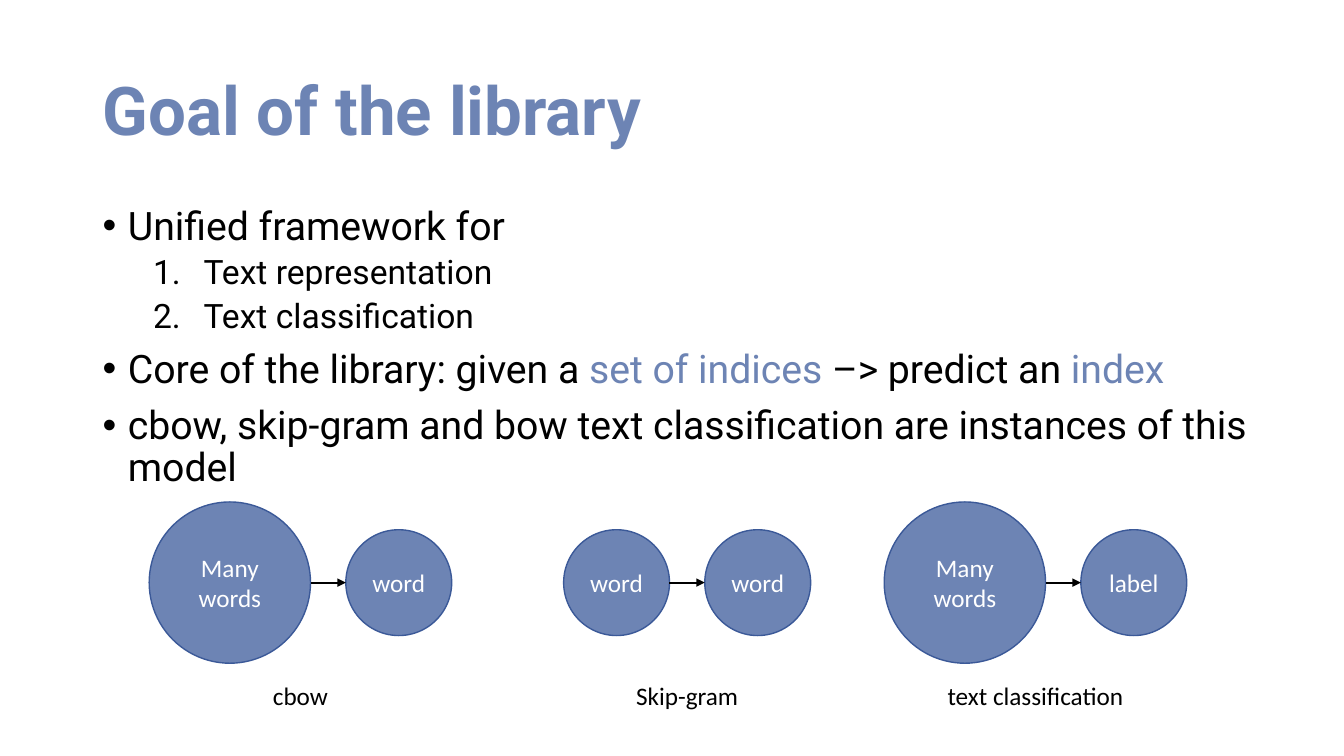
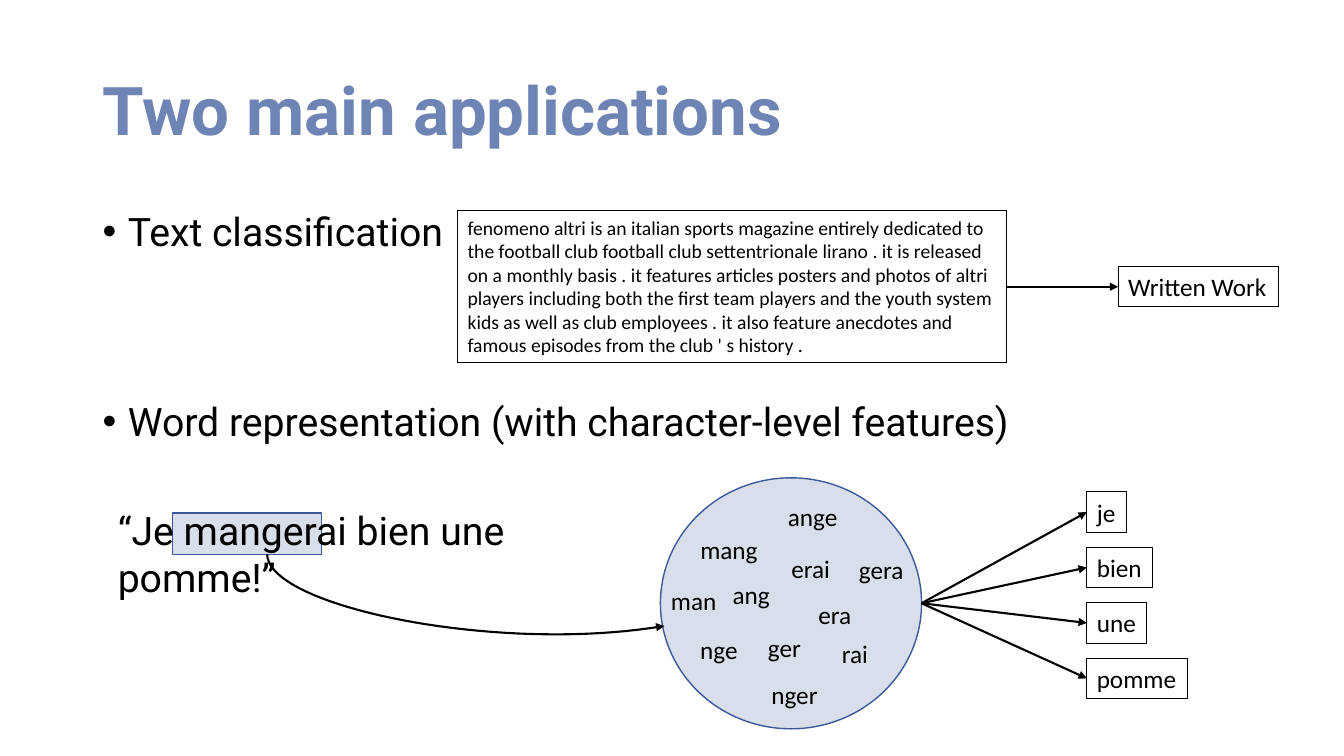
from lxml import etree
from pptx import Presentation
from pptx.dml.color import RGBColor
from pptx.enum.shapes import MSO_CONNECTOR, MSO_SHAPE
from pptx.enum.text import MSO_ANCHOR, PP_ALIGN
from pptx.oxml.ns import qn
from pptx.util import Inches, Pt

STRAIGHT = MSO_CONNECTOR.STRAIGHT
ELLIPSE, RECTANGLE = MSO_SHAPE.OVAL, MSO_SHAPE.RECTANGLE
TOP, MIDDLE = MSO_ANCHOR.TOP, MSO_ANCHOR.MIDDLE
LEFT, CENTER = PP_ALIGN.LEFT, PP_ALIGN.CENTER

COLORS = {
    "accent": "6D84B4",
    "outline": "3B5998",
    "pale": "D8DFEA",
    "text": "000000",
    "inverse": "FFFFFF",
}
HEADING_FONT, LABEL_FONT = "Roboto", "Calibri"
BODY_SIZE, SUBITEM_SIZE, LABEL_SIZE, PASSAGE_SIZE = 28, 24, 18, 14
TITLE_BOX = (0.92, 0.4, 11.5, 1.45)

NGRAMS = [
    ("man", 0.33, 1.02), ("ang", 0.9, 0.96), ("nge", 0.58, 1.5),
    ("ger", 1.23, 1.48), ("era", 1.73, 1.16), ("rai", 1.93, 1.54),
    ("mang", 0.68, 0.51), ("ange", 1.51, 0.18), ("nger", 1.33, 1.95),
    ("gera", 2.19, 0.71), ("erai", 1.49, 0.7),
]
CONTEXT_WORDS = [("je", 0.39), ("bien", 0.65), ("une", 0.59), ("pomme", 1)]
PASSAGE = (
    "fenomeno altri is an italian sports magazine entirely dedicated to the "
    "football club football club settentrionale lirano . it is released on a "
    "monthly basis . it features articles posters and photos of altri players "
    "including both the first team players and the youth system kids as well "
    "as club employees . it also feature anecdotes and famous episodes from "
    "the club ' s history ."
)


def color(name):
    """Return the named palette colour."""
    return RGBColor.from_string(COLORS[name])


def style(paragraph, size, font=HEADING_FONT, tint="text", bold=False):
    """Set the font shared by all runs of a paragraph."""
    paragraph.font.size = Pt(size)
    paragraph.font.name = font
    paragraph.font.bold = bold
    paragraph.font.color.rgb = color(tint)


def add_text(slide, box, text, size, font=LABEL_FONT, tint="text", bold=False,
             align=LEFT, anchor=TOP, wrap=False):
    """Add a text box holding one paragraph."""
    frame = slide.shapes.add_textbox(*map(Inches, box)).text_frame
    frame.word_wrap = wrap
    frame.vertical_anchor = anchor
    paragraph = frame.paragraphs[0]
    paragraph.text = text
    paragraph.alignment = align
    style(paragraph, size, font, tint, bold)
    return paragraph


def add_figure(slide, preset, box, fill=None, line="outline", width=1):
    """Add a flat outlined shape, filled or clear."""
    shape = slide.shapes.add_shape(preset, *map(Inches, box))
    shape.shadow.inherit = False
    if fill:
        shape.fill.solid()
        shape.fill.fore_color.rgb = color(fill)
    else:
        shape.fill.background()
    shape.line.color.rgb = color(line)
    shape.line.width = Pt(width)
    return shape


def add_node(slide, box, text):
    """Add an accent circle with a centred label."""
    shape = add_figure(slide, ELLIPSE, box, "accent")
    frame = shape.text_frame
    frame.word_wrap = True
    frame.vertical_anchor = MIDDLE
    paragraph = frame.paragraphs[0]
    paragraph.text = text
    paragraph.alignment = CENTER
    style(paragraph, LABEL_SIZE, LABEL_FONT, "inverse")


def add_framed_text(slide, box, text, size=LABEL_SIZE, wrap=False):
    """Add text inside a thin black frame."""
    frame = add_figure(slide, RECTANGLE, box, None, "text", 0.75).text_frame
    frame.word_wrap = wrap
    frame.vertical_anchor = TOP
    paragraph = frame.paragraphs[0]
    paragraph.text = text
    paragraph.alignment = LEFT
    style(paragraph, size, LABEL_FONT)


def finish_arrow(shape):
    """Give a line its black stroke and a triangular end."""
    shape.line.color.rgb = color("text")
    shape.line.width = Pt(1.5)
    stroke = shape.line._get_or_add_ln()
    etree.SubElement(stroke, qn("a:tailEnd"), type="triangle")


def add_arrow(slide, start, end):
    """Add a straight arrow between two points."""
    connector = slide.shapes.add_connector(STRAIGHT, *map(Inches, start + end))
    finish_arrow(connector)
    etree.SubElement(connector._element.spPr, qn("a:effectLst"))


def add_curved_arrow(slide, controls, steps=40):
    """Add an arrow that follows a cubic curve."""
    points = []
    for step in range(steps + 1):
        t = step / steps
        weights = ((1 - t) ** 3, 3 * t * (1 - t) ** 2, 3 * t * t * (1 - t), t ** 3)
        points.append(tuple(
            int(Inches(sum(weight * value for weight, value in zip(weights, axis))))
            for axis in zip(*controls)))
    builder = slide.shapes.build_freeform(*points[0])
    builder.add_line_segments(points[1:], close=False)
    curve = builder.convert_to_shape()
    curve.shadow.inherit = False
    curve.fill.background()
    finish_arrow(curve)


def add_body(slide, box, items, line_spacing):
    """Add a list of (runs, numbered, space before) items."""
    frame = slide.shapes.add_textbox(*map(Inches, box)).text_frame
    frame.word_wrap = True
    for index, (runs, numbered, space) in enumerate(items):
        paragraph = frame.add_paragraph() if index else frame.paragraphs[0]
        properties = paragraph._p.get_or_add_pPr()
        margin, indent = (1, -0.5) if numbered else (0.25, -0.25)
        properties.set("marL", str(Inches(margin)))
        properties.set("indent", str(Inches(indent)))
        if numbered:
            paragraph.level = 1
            etree.SubElement(properties, qn("a:buAutoNum"), type="arabicPeriod")
        else:
            etree.SubElement(properties, qn("a:buFont"), typeface="Arial")
            etree.SubElement(properties, qn("a:buChar"), char="•")
        paragraph.line_spacing = line_spacing
        paragraph.space_before = Pt(space)
        style(paragraph, SUBITEM_SIZE if numbered else BODY_SIZE)
        for text, tint in runs:
            run = paragraph.add_run()
            run.text = text
            if tint != "text":
                run.font.color.rgb = color(tint)


def add_titled_slide(presentation, title):
    """Add a blank slide with the shared title."""
    slide = presentation.slides.add_slide(presentation.slide_layouts[6])
    paragraph = add_text(slide, TITLE_BOX, title, 48, HEADING_FONT, "accent",
                         True, anchor=MIDDLE, wrap=True)
    paragraph.line_spacing = 0.9
    return slide


def add_model(slide, left, diameter, source, target, caption):
    """Draw one captioned model: source circle, arrow, target circle."""
    middle, gap, target_diameter = 5.78, 0.35, 1.05
    target_left = left + diameter + gap
    for x, size, text in ((left, diameter, source),
                          (target_left, target_diameter, target)):
        add_node(slide, (x, middle - size / 2, size, size), text)
    add_arrow(slide, (left + diameter, middle), (target_left, middle))
    width = target_left + target_diameter - left
    add_text(slide, (left, 6.7, width, 0.4), caption, LABEL_SIZE, align=CENTER)


def add_classification(slide, left, top):
    """Draw the passage and the class predicted for it."""
    width, height, gap, label_height = 5.44, 1.51, 1.11, 0.4
    middle = top + height / 2
    label_left = left + width + gap
    add_framed_text(slide, (left, top, width, height), PASSAGE, PASSAGE_SIZE, True)
    add_framed_text(slide, (label_left, middle - label_height / 2, 1.59, label_height),
                    "Written Work")
    add_arrow(slide, (left + width, middle), (label_left, middle))


def add_sentence(slide, left, top):
    """Draw the sentence with its highlighted word."""
    add_figure(slide, RECTANGLE, (left + 0.64, top + 0.12, 1.48, 0.41), "pale")
    add_text(slide, (left, top, 5.33, 0.57), "“Je mangerai bien une pomme!”",
             BODY_SIZE, HEADING_FONT, wrap=True)


def add_ngrams(slide, left, top, width, height):
    """Draw the circle of character n-grams."""
    add_figure(slide, ELLIPSE, (left, top, width, height), "pale")
    label_width = 0.8
    for ngram, center, offset in NGRAMS:
        box = (left + center - label_width / 2, top + offset, label_width, 0.45)
        add_text(slide, box, ngram, LABEL_SIZE, align=CENTER)


def add_context(slide, left, top, origin):
    """Draw the context words and the arrows that reach them."""
    height, pitch = 0.4, 0.55
    for index, (word, width) in enumerate(CONTEXT_WORDS):
        word_top = top + index * pitch
        add_framed_text(slide, (left, word_top, width, height), word)
        add_arrow(slide, origin, (left, word_top + height / 2))


def build_goal_slide(presentation):
    """Build the slide on the goal of the library."""
    slide = add_titled_slide(presentation, "Goal of the library")
    add_body(slide, (0.92, 2, 12.08, 4.76), [
        ([("Unified framework for", "text")], False, 0),
        ([("Text representation", "text")], True, 5),
        ([("Text classification", "text")], True, 5),
        ([("Core of the library: given a ", "text"), ("set of indices ", "accent"),
          ("–> predict an ", "text"), ("index", "accent")], False, 10),
        ([("cbow, skip-gram and bow text classification are instances of this model",
           "text")], False, 10),
    ], 0.9)
    add_model(slide, 1.48, 1.6, "Many words", "word", "cbow")
    add_model(slide, 5.59, 1.05, "word", "word", "Skip-gram")
    add_model(slide, 8.77, 1.6, "Many words", "label", "text classification")


def build_applications_slide(presentation):
    """Build the slide on the two applications."""
    slide = add_titled_slide(presentation, "Two main applications")
    add_body(slide, (0.92, 2.01, 11.5, 4.76), [
        ([("Text classification", "text")], False, 0),
        ([("Word representation (with character-level features)", "text")], False, 102),
    ], 1.0)
    add_classification(slide, 4.54, 2.09)
    add_sentence(slide, 1.07, 4.97)
    left, top, width, height = 6.55, 4.74, 2.59, 2.49
    add_ngrams(slide, left, top, width, height)
    add_curved_arrow(slide, [(2.65, 5.5), (2.66, 6.02), (4.94, 6.49), (6.59, 6.21)])
    add_context(slide, 10.78, 4.88, (left + width, top + height / 2))


def main():
    """Build and save the presentation."""
    presentation = Presentation()
    presentation.slide_width = Inches(13.33)
    presentation.slide_height = Inches(7.5)
    build_goal_slide(presentation)
    build_applications_slide(presentation)
    presentation.save("out.pptx")


if __name__ == "__main__":
    main()
